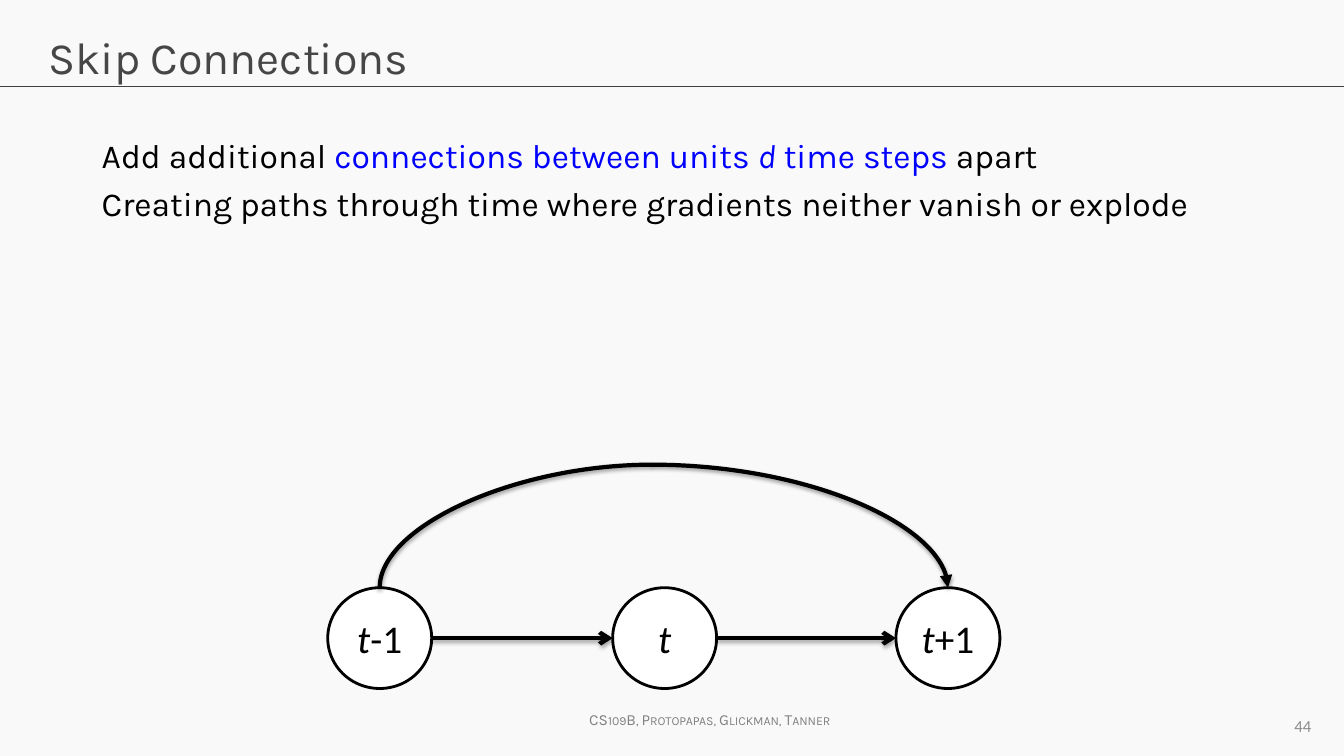
from dataclasses import dataclass

from lxml import etree
from pptx import Presentation
from pptx.dml.color import RGBColor
from pptx.enum.shapes import MSO_CONNECTOR, MSO_SHAPE
from pptx.enum.text import MSO_ANCHOR, PP_ALIGN
from pptx.oxml.ns import qn
from pptx.shapes.connector import Connector
from pptx.text.text import _Paragraph
from pptx.util import Cm, Pt

STRAIGHT, CURVE = MSO_CONNECTOR.STRAIGHT, MSO_CONNECTOR.CURVE
ELLIPSE = MSO_SHAPE.OVAL
TOP, MIDDLE = MSO_ANCHOR.TOP, MSO_ANCHOR.MIDDLE
LEFT, CENTER, RIGHT = PP_ALIGN.LEFT, PP_ALIGN.CENTER, PP_ALIGN.RIGHT

BACKGROUND = RGBColor(0xF9, 0xF9, 0xF9)
WHITE = RGBColor(0xFF, 0xFF, 0xFF)
BLACK = RGBColor(0, 0, 0)
BLUE = RGBColor(0, 0, 0xFF)
TITLE_GRAY = RGBColor(0x46, 0x46, 0x46)
RULE_GRAY = RGBColor(0x40, 0x40, 0x40)
FOOTER_GRAY = RGBColor(0x80, 0x80, 0x80)
NUMBER_GRAY = RGBColor(0x8C, 0x8C, 0x8C)

KARLA, CALIBRI = "Karla", "Calibri"
SLIDE_WIDTH, SLIDE_HEIGHT = 33.87, 19.05
RULE_Y = 2.18
NODE_WIDTH, NODE_HEIGHT, NODE_TOP = 2.62, 2.54, 14.81
APEX = (16.43, 11.71)


@dataclass(frozen=True)
class Span:
    text: str
    color: RGBColor = BLACK
    italic: bool = False


@dataclass(frozen=True)
class TimeStep:
    left: float
    offset: str

    @property
    def right(self) -> float:
        return self.left + NODE_WIDTH

    @property
    def center(self) -> float:
        return self.left + NODE_WIDTH / 2


TIME_STEPS = [TimeStep(8.26, "-1"), TimeStep(15.44, ""), TimeStep(22.58, "+1")]
POINTS = [
    [
        Span("Add additional "),
        Span("connections between units ", BLUE),
        Span("d", BLUE, italic=True),
        Span(" time steps ", BLUE),
        Span("apart"),
    ],
    [Span("Creating paths through time where gradients neither vanish or explode")],
]


def place(shape, left: float, top: float, width: float, height: float) -> None:
    shape.left, shape.top = Cm(left), Cm(top)
    shape.width, shape.height = Cm(width), Cm(height)


def write(paragraph: _Paragraph, spans: list[Span], font: str, size: float,
          align: PP_ALIGN = LEFT) -> None:
    paragraph.alignment = align
    for span in spans:
        run = paragraph.add_run()
        run.text = span.text
        run.font.name, run.font.size = font, Pt(size)
        run.font.italic = span.italic
        run.font.color.rgb = span.color


def connect(shapes, kind: MSO_CONNECTOR, start: tuple[float, float],
            end: tuple[float, float], color: RGBColor, width: float) -> Connector:
    """Draw a connector whose effect list is empty."""
    connector = shapes.add_connector(kind, *(Cm(v) for v in (*start, *end)))
    connector.line.color.rgb = color
    connector.line.width = Pt(width)
    etree.SubElement(connector._element.spPr, qn("a:effectLst"))
    return connector


def add_soft_shadow(connector: Connector, alpha: int, distance: float) -> None:
    effects = connector._element.spPr.find(qn("a:effectLst"))
    shadow = etree.SubElement(
        effects, qn("a:outerShdw"), blurRad=str(Pt(3.1)), dist=str(Pt(distance)),
        dir="5400000", rotWithShape="0")
    color = etree.SubElement(shadow, qn("a:srgbClr"), val=str(BLACK))
    etree.SubElement(color, qn("a:alpha"), val=str(alpha * 1000))


def add_arrowhead(connector: Connector, kind: str) -> None:
    etree.SubElement(connector.line._get_or_add_ln(), qn("a:tailEnd"), type=kind)


def add_node(shapes, step: TimeStep) -> None:
    node = shapes.add_shape(ELLIPSE, Cm(step.left), Cm(NODE_TOP),
                            Cm(NODE_WIDTH), Cm(NODE_HEIGHT))
    node.shadow.inherit = False
    node.fill.solid()
    node.fill.fore_color.rgb = WHITE
    node.line.color.rgb = BLACK
    node.line.width = Pt(2)
    node.text_frame.vertical_anchor = MIDDLE
    spans = [Span("t", italic=True)]
    if step.offset:
        spans.append(Span(step.offset))
    write(node.text_frame.paragraphs[0], spans, CALIBRI, 28, CENTER)


def add_text(slide) -> None:
    title = slide.shapes.title
    place(title, 0.97, 0.61, 31.93, 2.13)
    title.text_frame.vertical_anchor = TOP
    write(title.text_frame.paragraphs[0], [Span("Skip Connections", TITLE_GRAY)], KARLA, 32)

    body = slide.placeholders[1]
    place(body, 2.31, 3.28, 28.68, 5.87)
    for index, spans in enumerate(POINTS):
        frame = body.text_frame
        point = frame.add_paragraph() if index else frame.paragraphs[0]
        properties = point._p.get_or_add_pPr()
        properties.set("marL", "0")
        properties.set("indent", "0")
        etree.SubElement(properties, qn("a:buNone"))
        point.space_before = Pt(5.5 if index else 0)
        write(point, spans, KARLA, 24)

    footer = slide.shapes.add_textbox(Cm(14.6), Cm(17.78), Cm(6.91), Cm(0.74))
    credit = footer.text_frame.paragraphs[0]
    write(credit, [Span("CS109B, Protopapas, Glickman, Tanner", FOOTER_GRAY)], KARLA, 11)
    credit.runs[0]._r.get_or_add_rPr().set("cap", "small")

    number = slide.shapes.add_textbox(Cm(25.4), Cm(17.78), Cm(7.9), Cm(1.02))
    number.text_frame.word_wrap = True
    number.text_frame.vertical_anchor = MIDDLE
    write(number.text_frame.paragraphs[0], [Span("44", NUMBER_GRAY)], CALIBRI, 12, RIGHT)


def add_diagram(shapes) -> None:
    for step in TIME_STEPS:
        add_node(shapes, step)

    middle = NODE_TOP + NODE_HEIGHT / 2
    for step, following in zip(TIME_STEPS, TIME_STEPS[1:]):
        arrow = connect(shapes, STRAIGHT, (step.right, middle),
                        (following.left, middle), BLACK, 3)
        add_arrowhead(arrow, "arrow")
        add_soft_shadow(arrow, 35, 1.8)

    first, last = TIME_STEPS[0], TIME_STEPS[-1]
    for step in (first, last):
        arc = connect(shapes, CURVE, APEX, (step.center, NODE_TOP), BLACK, 3)
        arc._element.spPr.find(qn("a:prstGeom")).set("prst", "curvedConnector2")
        if step is last:
            add_arrowhead(arc, "triangle")
        add_soft_shadow(arc, 38, 1.6)


def main() -> None:
    deck = Presentation()
    deck.slide_width, deck.slide_height = Cm(SLIDE_WIDTH), Cm(SLIDE_HEIGHT)
    slide = deck.slides.add_slide(deck.slide_layouts[1])
    slide.background.fill.solid()
    slide.background.fill.fore_color.rgb = BACKGROUND
    connect(slide.shapes, STRAIGHT, (0, RULE_Y), (SLIDE_WIDTH, RULE_Y), RULE_GRAY, 0.75)
    add_text(slide)
    add_diagram(slide.shapes)
    deck.save("out.pptx")


if __name__ == "__main__":
    main()
